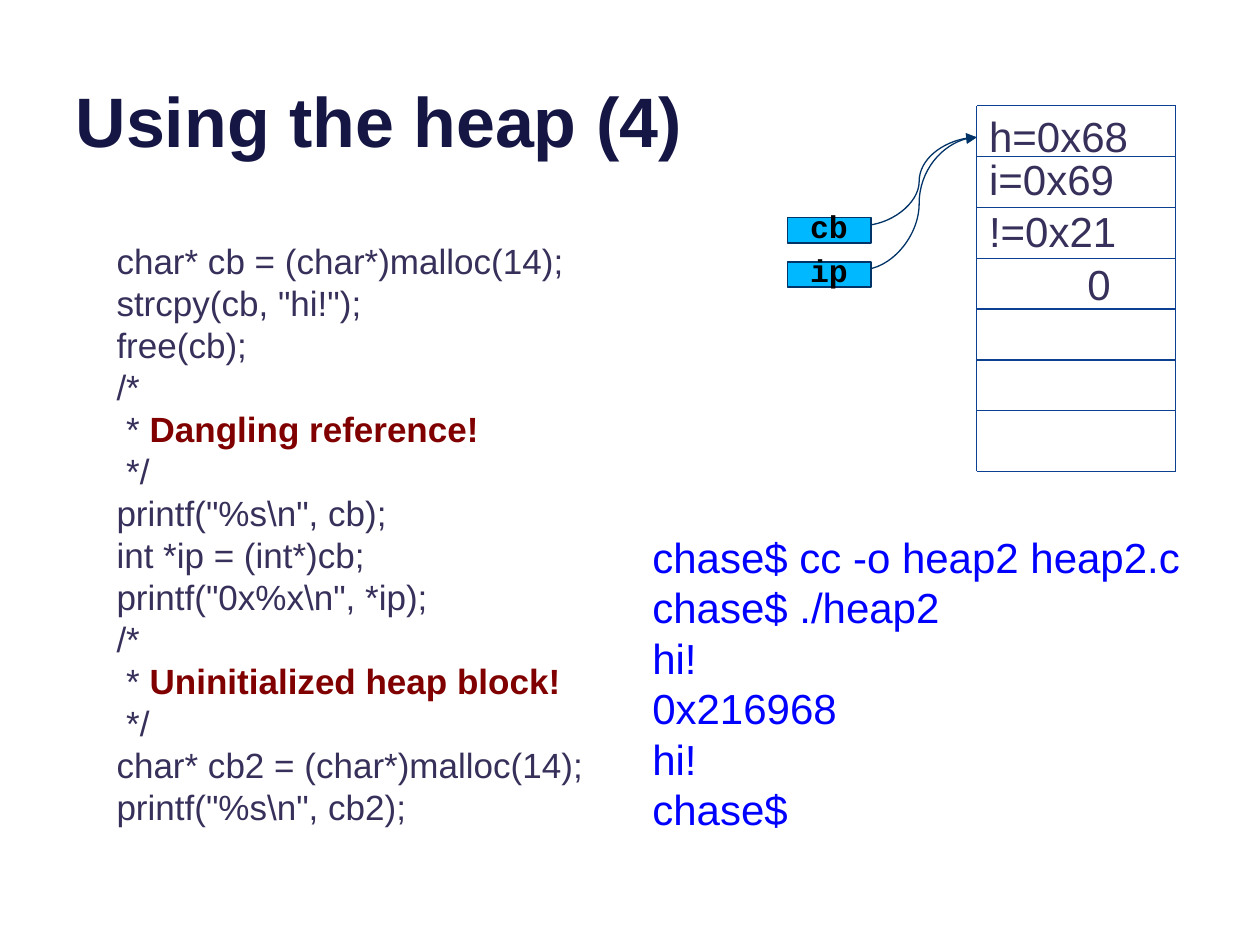
from lxml.etree import SubElement
from pptx import Presentation
from pptx.dml.color import RGBColor
from pptx.enum.shapes import MSO_CONNECTOR, MSO_SHAPE
from pptx.enum.text import MSO_ANCHOR, PP_ALIGN
from pptx.oxml.ns import qn
from pptx.util import Cm, Pt

TITLE = "Using the heap (4)"
CODE = [
    "char* cb = (char*)malloc(14);",
    'strcpy(cb, "hi!");',
    "free(cb);",
    "/*",
    (" * ", "Dangling reference!"),
    " */",
    r'printf("%s\n", cb);',
    "int *ip = (int*)cb;",
    r'printf("0x%x\n", *ip);',
    "/*",
    (" * ", "Uninitialized heap block!"),
    " */",
    "char* cb2 = (char*)malloc(14);",
    r'printf("%s\n", cb2);',
]
CONSOLE = ["chase$ cc -o heap2 heap2.c", "chase$ ./heap2", "hi!",
           "0x216968", "hi!", "chase$"]
CELLS = [("h=0x68", 19.69, 2.11, 3.35), ("i=0x69", 19.69, 2.97, 3.05),
         ("!=0x21", 19.69, 4.01, 3.1), ("0", 21.67, 5.08, 0.99)]
POINTERS = [("cb", 4.39), ("ip", 5.28)]

INK, NAVY, ALERT, BLUE = "37305A", "161645", "800000", "0000FF"
GRID, EDGE, BOX, BLACK = "0C4093", "003367", "00B8FF", "000000"
MEM_LEFT, MEM_RIGHT, MEM_TOP, MEM_BOTTOM, ROW = 19.69, 23.7, 2.13, 9.5, 1.025
TARGET_Y = 2.77


def rgb(value):
    """Turn a hex string into a colour."""
    return RGBColor.from_string(value)


def style(font, size, color, name="Arial", bold=False):
    """Set the look of a font."""
    font.size, font.name, font.bold = Pt(size), name, bold
    font.color.rgb = rgb(color)


def add_text(s, lines, box, size, color, name="Arial", bold=False,
             wrap=False, spacing=None, indent=0.25):
    """Add a text box; a tuple line ends in an alert run."""
    tf = s.shapes.add_textbox(*map(Cm, box)).text_frame
    tf.word_wrap = wrap
    tf.margin_left = Cm(indent)
    for i, line in enumerate(lines):
        p = tf.paragraphs[0] if i == 0 else tf.add_paragraph()
        style(p.font, size, color, name, bold)
        if spacing:
            p.line_spacing = Pt(spacing)
        parts = (line,) if isinstance(line, str) else line
        for j, part in enumerate(parts):
            r = p.add_run()
            r.text = part
            if j:
                r.font.bold = True
                r.font.color.rgb = rgb(ALERT)


def add_line(s, ends, color, kind=MSO_CONNECTOR.STRAIGHT, arrow=False):
    """Add a thin connector without shadow."""
    c = s.shapes.add_connector(kind, *map(Cm, ends))
    c.line.color.rgb = rgb(color)
    c.line.width = Pt(0.75)
    if arrow:
        SubElement(c.line._get_or_add_ln(), qn("a:tailEnd"), type="triangle")
    SubElement(c._element.spPr, qn("a:effectLst"))


def add_title(s):
    """Place and format the title."""
    sp = s.shapes.title
    sp.left, sp.top, sp.width, sp.height = map(Cm, (1.27, -0.94, 22.86, 4.32))
    tf = sp.text_frame
    tf.text = TITLE
    tf.vertical_anchor = MSO_ANCHOR.BOTTOM
    tf.paragraphs[0].alignment = PP_ALIGN.LEFT
    style(tf.paragraphs[0].font, 40, NAVY, bold=True)


def add_memory(s):
    """Draw the heap block and its bytes."""
    for y in [MEM_TOP + i * ROW for i in range(7)] + [MEM_BOTTOM]:
        add_line(s, (MEM_LEFT, y, MEM_RIGHT, y), GRID)
    for x in (MEM_LEFT, MEM_RIGHT):
        add_line(s, (x, MEM_BOTTOM, x, MEM_TOP), GRID)
    for text, x, y, width in CELLS:
        add_text(s, [text], (x, y, width, 1.3), 24, INK)


def add_pointer(s, name, top):
    """Draw a named pointer and its arrow into the heap."""
    add_line(s, (17.37, top + 0.16, MEM_LEFT, TARGET_Y), EDGE,
             MSO_CONNECTOR.CURVE, arrow=True)
    sp = s.shapes.add_shape(MSO_SHAPE.RECTANGLE,
                            *map(Cm, (15.88, top, 1.68, 0.51)))
    sp.shadow.inherit = False
    sp.fill.solid()
    sp.fill.fore_color.rgb = rgb(BOX)
    sp.line.color.rgb = rgb(EDGE)
    sp.line.width = Pt(0.75)
    add_text(s, [name], (16.08, top - 0.35, 1.3, 1.02), 18, BLACK,
             "Courier New", True)


def main():
    """Build the slide and save it."""
    prs = Presentation()
    prs.slide_width, prs.slide_height = Cm(25.4), Cm(19.05)
    s = prs.slides.add_slide(prs.slide_layouts[5])
    add_title(s)
    add_text(s, CONSOLE, (12.9, 10.59, 12.7, 6.4), 24, BLUE,
             wrap=True, spacing=28.8)
    add_memory(s)
    for name, top in POINTERS:
        add_pointer(s, name, top)
    add_text(s, CODE, (1.7, 4.7, 12.7, 13.08), 20, INK,
             wrap=True, spacing=24, indent=0.65)
    prs.save("out.pptx")


if __name__ == "__main__":
    main()
